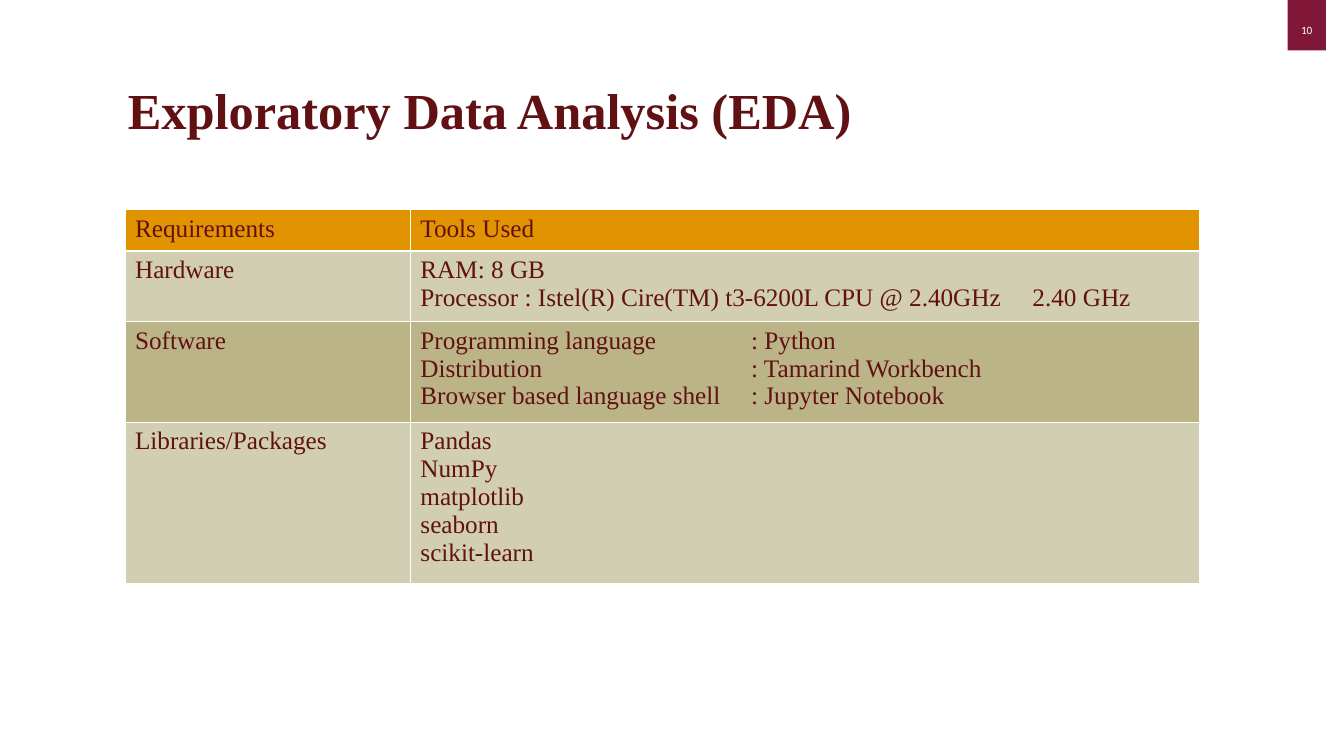
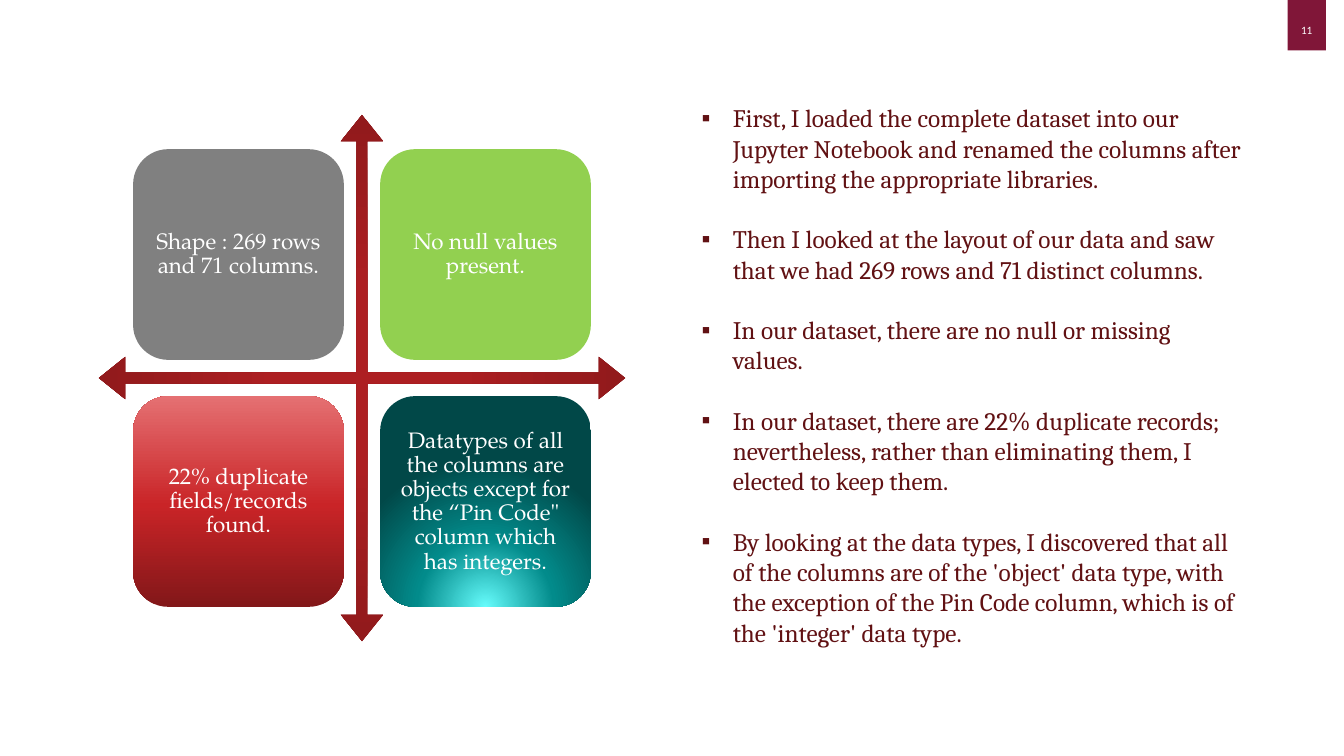
from dataclasses import dataclass

from pptx import Presentation
from pptx.dml.color import RGBColor
from pptx.enum.shapes import MSO_SHAPE as Shape
from pptx.enum.text import MSO_ANCHOR as Anchor, PP_ALIGN as Align
from pptx.oxml import parse_xml
from pptx.oxml.ns import nsdecls, qn
from pptx.util import Emu, Pt

EMU_PER_PX = 9144  # 100 px to the inch


def px(length):
    return Emu(length * EMU_PER_PX)


@dataclass(frozen=True)
class TextStyle:
    font: str
    size: int
    color: str
    bold: bool = False


@dataclass(frozen=True)
class Theme:
    badge: str = "801638"
    header: str = "E19302"
    bands: tuple = ("D2CEB1", "BBB487")
    border: str = "FFFFFF"
    gray: str = "808080"
    green: str = "92D050"
    arrow: tuple = ((0, "AD1F22"), (23, "AD1F22"), (69, "921A1C"), (97, "88181B"))
    red: tuple = ((0, "821719"), (48, "C92427"), (100, "E57072"))
    teal: tuple = ((0, "66FCFC"), (46, "028B8B"), (100, "014848"))
    title: TextStyle = TextStyle("Times New Roman", 36, "611113", True)
    cell: TextStyle = TextStyle("Times New Roman", 18, "611113")
    bullet: TextStyle = TextStyle("Cambria", 18, "611113")
    bullet_font: str = "Times New Roman"
    card: TextStyle = TextStyle("TeX Gyre Pagella", 16, "FFFFFF")
    number: TextStyle = TextStyle("Calibri", 8, "FEFEFE")


THEME = Theme()

# Each row: label, lines, tab stop in px (or None)
TOOLS = [
    ("Requirements", ["Tools Used"], None),
    ("Hardware", ["RAM: 8 GB",
                  "Processor : Istel(R) Cire(TM) t3-6200L CPU @ 2.40GHz\t2.40 GHz"], 607),
    ("Software", ["Programming language\t: Python",
                  "Distribution\t: Tamarind Workbench",
                  "Browser based language shell\t: Jupyter Notebook"], 328),
    ("Libraries/Packages", ["Pandas", "NumPy", "matplotlib", "seaborn", "scikit-learn"], None),
]

FINDINGS = [
    "First, I loaded the complete dataset into our Jupyter Notebook and renamed the columns "
    "after importing the appropriate libraries.",
    "Then I looked at the layout of our data and saw that we had 269 rows and 71 distinct columns.",
    "In our dataset, there are no null or missing values.",
    "In our dataset, there are 22% duplicate records; nevertheless, rather than eliminating "
    "them, I elected to keep them.",
    "By looking at the data types, I discovered that all of the columns are of the 'object' "
    "data type, with the exception of the Pin Code column, which is of the 'integer' data type.",
]


def rgb(color):
    return RGBColor.from_string(color)


def write(text_frame, lines, style, align=Align.LEFT, spacing=None):
    """Fill the frame with one styled paragraph a line and return the paragraphs."""
    text_frame.word_wrap = True
    text_frame.text = "\n".join(lines)
    for paragraph in text_frame.paragraphs:
        paragraph.alignment = align
        if spacing:
            paragraph.line_spacing = spacing
        for run in paragraph.runs:
            run.font.name = style.font
            run.font.size = Pt(style.size)
            run.font.bold = style.bold
            run.font.color.rgb = rgb(style.color)
    return text_frame.paragraphs


def set_margins(text_frame, left, top, right, bottom):
    text_frame.margin_left, text_frame.margin_top = px(left), px(top)
    text_frame.margin_right, text_frame.margin_bottom = px(right), px(bottom)


def add_text_box(slide, box):
    return slide.shapes.add_textbox(*map(px, box)).text_frame


def add_filled_shape(slide, kind, box, fill, direction=""):
    """Add a shape; fill is a colour, or gradient stops with the direction XML."""
    shape = slide.shapes.add_shape(kind, *map(px, box))
    shape.shadow.inherit = False
    shape.line.fill.background()
    if isinstance(fill, str):
        shape.fill.solid()
        shape.fill.fore_color.rgb = rgb(fill)
        return shape
    stops = "".join(f'<a:gs pos="{position * 1000}"><a:srgbClr val="{color}"/></a:gs>'
                    for position, color in fill)
    shape.fill.gradient()
    properties = shape._element.spPr
    properties.replace(properties.find(qn("a:gradFill")), parse_xml(
        f'<a:gradFill {nsdecls("a")} rotWithShape="1"><a:gsLst>{stops}</a:gsLst>'
        f'{direction}</a:gradFill>'))
    return shape


def linear(degrees):
    return f'<a:lin ang="{degrees * 60000}" scaled="0"/>'


def radial(left, top, right, bottom):
    return (f'<a:path path="circle"><a:fillToRect l="{left * 1000}" t="{top * 1000}" '
            f'r="{right * 1000}" b="{bottom * 1000}"/></a:path>')


def add_page_badge(slide, number):
    badge = add_filled_shape(slide, Shape.RECTANGLE, (1277, 0, 38, 50), THEME.badge)
    set_margins(badge.text_frame, 0, 9, 0, 0)
    badge.text_frame.vertical_anchor = Anchor.MIDDLE
    write(badge.text_frame, [str(number)], THEME.number, Align.CENTER)


def add_title(slide, box, text):
    write(add_text_box(slide, box), [text], THEME.title, spacing=0.9)


def style_cell(cell, fill):
    properties = cell._tc.get_or_add_tcPr()
    for side in "LRTB":
        properties.append(parse_xml(
            f'<a:ln{side} {nsdecls("a")} w="12700"><a:solidFill>'
            f'<a:srgbClr val="{THEME.border}"/></a:solidFill></a:ln{side}>'))
    cell.fill.solid()
    cell.fill.fore_color.rgb = rgb(fill)


def add_tab_stop(paragraph, position):
    paragraph._p.get_or_add_pPr().append(parse_xml(
        f'<a:tabLst {nsdecls("a")}><a:tab pos="{px(position)}" algn="l"/></a:tabLst>'))


def add_tools_table(slide, left, top, widths, row_height):
    """Add the table; rows with several lines grow from the given height."""
    box = (left, top, sum(widths), row_height * len(TOOLS))
    table = slide.shapes.add_table(len(TOOLS), len(widths), *map(px, box)).table
    table.first_row = table.horz_banding = False
    for column, width in zip(table.columns, widths):
        column.width = px(width)
    for index, (label, lines, tab_stop) in enumerate(TOOLS):
        fill = THEME.bands[(index - 1) % 2] if index else THEME.header
        for column, content in enumerate(([label], lines)):
            cell = table.cell(index, column)
            style_cell(cell, fill)
            paragraphs = write(cell.text_frame, content, THEME.cell)
            if column and tab_stop:
                for paragraph in paragraphs:
                    add_tab_stop(paragraph, tab_stop)


def add_quadrants(slide, left, top, size):
    """Draw four cards around a four-way arrow that fills the square."""
    arrow = add_filled_shape(slide, Shape.QUAD_ARROW, (left, top, size, size),
                             THEME.arrow, radial(50, 50, 50, 50))
    for index, value in enumerate((0.02, 0.04, 0.05)):
        arrow.adjustments[index] = value
    cards = [
        ("Shape : 269 rows and 71 columns.", THEME.gray, ""),
        ("No null values present.", THEME.green, ""),
        ("22% duplicate fields/records found.", THEME.red, linear(270)),
        ("Datatypes of all the columns are objects except for the “Pin Code\" column "
         "which has integers.", THEME.teal, radial(50, 130, 50, -30)),
    ]
    inset, card_size = 34, 209
    step = size - 2 * inset - card_size
    for index, (text, fill, direction) in enumerate(cards):
        row, column = divmod(index, 2)
        box = (left + inset + column * step, top + inset + row * step, card_size, card_size)
        card = add_filled_shape(slide, Shape.ROUNDED_RECTANGLE, box, fill, direction)
        set_margins(card.text_frame, 7, 7, 7, 7)
        card.text_frame.vertical_anchor = Anchor.MIDDLE
        write(card.text_frame, [text], THEME.card, Align.CENTER, 0.9)


def add_findings(slide, box):
    indent = px(31)
    paragraphs = write(add_text_box(slide, box), FINDINGS, THEME.bullet)
    for index, paragraph in enumerate(paragraphs):
        if index:
            paragraph.space_before = Pt(21.6)
        properties = paragraph._p.get_or_add_pPr()
        properties.set("marL", str(indent))
        properties.set("indent", str(-indent))
        properties.append(parse_xml(
            f'<a:buFont {nsdecls("a")} typeface="{THEME.bullet_font}"/>'))
        properties.append(parse_xml(f'<a:buChar {nsdecls("a")} char="▪"/>'))


def add_blank_slide(presentation, number):
    slide = presentation.slides.add_slide(presentation.slide_layouts[6])
    add_page_badge(slide, number)
    return slide


def build_tools_slide(presentation):
    slide = add_blank_slide(presentation, 10)
    add_title(slide, (117, 80, 1066, 128), "Exploratory Data Analysis (EDA)")
    add_tools_table(slide, 124, 208, widths=(283, 783), row_height=41)


def build_findings_slide(presentation):
    slide = add_blank_slide(presentation, 11)
    add_findings(slide, (686, 97, 558, 555))
    add_quadrants(slide, 98, 114, 522)


def main():
    presentation = Presentation()
    presentation.slide_width, presentation.slide_height = px(1333), px(750)
    build_tools_slide(presentation)
    build_findings_slide(presentation)
    presentation.save("out.pptx")


if __name__ == "__main__":
    main()
